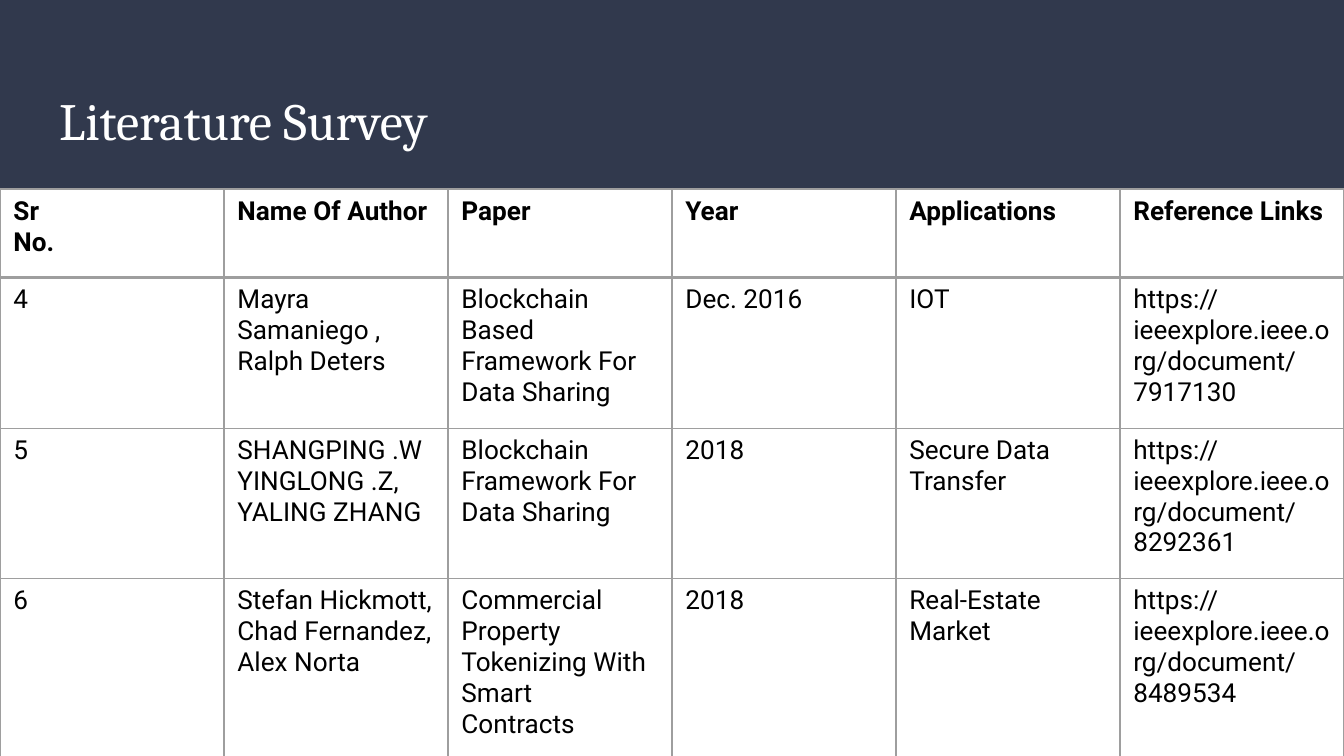
from dataclasses import dataclass

from lxml import etree
from pptx import Presentation
from pptx.dml.color import RGBColor
from pptx.enum.shapes import MSO_SHAPE
from pptx.enum.text import MSO_ANCHOR, PP_ALIGN
from pptx.oxml.ns import qn
from pptx.util import Inches, Pt

RECTANGLE = MSO_SHAPE.RECTANGLE
MIDDLE, TOP = MSO_ANCHOR.MIDDLE, MSO_ANCHOR.TOP
LEFT = PP_ALIGN.LEFT


@dataclass(frozen=True)
class Theme:
    band: str = "31394D"
    paper: str = "FFFFFF"
    ink: str = "000000"
    rule: str = "9E9E9E"
    title_font: str = "Cambria"
    body_font: str = "Roboto"
    title_size: int = 28
    body_size: int = 14
    thin: float = 0.75
    thick: float = 1.5


THEME = Theme()
# Widescreen, 16 to 9
WIDTH = Inches(10)
HEIGHT = WIDTH * 9 // 16
BAND_HEIGHT = HEIGHT // 4
ROW_HEIGHTS = [0.66, 1.12, 1.12, 1.35]

HEADER = ["Sr\nNo.", "Name Of Author", "Paper", "Year", "Applications", "Reference Links"]
PAPERS = [
    ["4", "Mayra Samaniego , Ralph Deters",
     "Blockchain Based\nFramework For Data Sharing", "Dec. 2016", "IOT",
     "https://ieeexplore.ieee.org/document/7917130"],
    ["5", "SHANGPING .W\nYINGLONG .Z,\nYALING ZHANG",
     "Blockchain Framework For Data Sharing", "2018", "Secure Data\nTransfer",
     "https://ieeexplore.ieee.org/document/8292361"],
    ["6", "Stefan Hickmott,\nChad Fernandez,\nAlex Norta",
     "Commercial Property Tokenizing With Smart\nContracts", "2018", "Real-Estate Market",
     "https://ieeexplore.ieee.org/document/8489534"],
]


def style_text(frame, font_name, size, color, bold=False):
    for paragraph in frame.paragraphs:
        paragraph.alignment = LEFT
        for run in paragraph.runs:
            run.font.name = font_name
            run.font.size = Pt(size)
            run.font.bold = bold
            run.font.color.rgb = RGBColor.from_string(color)


def add_band(slide):
    band = slide.shapes.add_shape(RECTANGLE, 0, 0, WIDTH, BAND_HEIGHT)
    band.shadow.inherit = False
    band.fill.solid()
    band.fill.fore_color.rgb = RGBColor.from_string(THEME.band)
    band.line.fill.background()
    # Keep the band behind the title
    slide.shapes.title._element.addprevious(band._element)


def set_title(slide, text):
    title = slide.shapes.title
    title.left, title.top = Inches(0.34), Inches(0.55)
    title.width, title.height = WIDTH - 2 * title.left, Inches(0.68)
    frame = title.text_frame
    frame.text = text
    frame.vertical_anchor = MIDDLE
    frame.margin_left = frame.margin_right = Inches(0.1)
    frame.margin_top = frame.margin_bottom = Inches(0.1)
    style_text(frame, THEME.title_font, THEME.title_size, THEME.paper)


def set_borders(cell, widths):
    properties = cell._tc.get_or_add_tcPr()
    for side, width in widths.items():
        line = etree.SubElement(properties, qn(f"a:ln{side}"), w=str(int(Pt(width))))
        fill = etree.SubElement(line, qn("a:solidFill"))
        etree.SubElement(fill, qn("a:srgbClr"), val=THEME.rule)


def fill_cell(cell, text, row):
    is_header = row == 0
    side_width = THEME.thick if is_header else THEME.thin
    top_width = THEME.thick if row <= 1 else THEME.thin
    set_borders(cell, {"L": side_width, "R": side_width, "T": top_width, "B": side_width})
    cell.fill.background()
    cell.margin_left = cell.margin_right = Inches(0.1)
    cell.margin_top = cell.margin_bottom = Inches(0.05)
    cell.vertical_anchor = TOP
    cell.text_frame.text = text
    style_text(cell.text_frame, THEME.body_font, THEME.body_size, THEME.ink, is_header)


def add_survey_table(slide, rows):
    columns = len(rows[0])
    table = slide.shapes.add_table(
        len(rows), columns, 0, BAND_HEIGHT, WIDTH, Inches(sum(ROW_HEIGHTS))
    ).table
    table.first_row = table.horz_banding = False
    for column in table.columns:
        column.width = WIDTH // columns
    for r, (texts, height) in enumerate(zip(rows, ROW_HEIGHTS)):
        table.rows[r].height = Inches(height)
        for c, text in enumerate(texts):
            fill_cell(table.cell(r, c), text, r)


def main():
    deck = Presentation()
    deck.slide_width, deck.slide_height = WIDTH, HEIGHT
    slide = deck.slides.add_slide(deck.slide_layouts.get_by_name("Title Only"))

    # Heading
    add_band(slide)
    set_title(slide, "Literature Survey")

    # Surveyed papers
    add_survey_table(slide, [HEADER] + PAPERS)

    deck.save("out.pptx")


if __name__ == "__main__":
    main()
